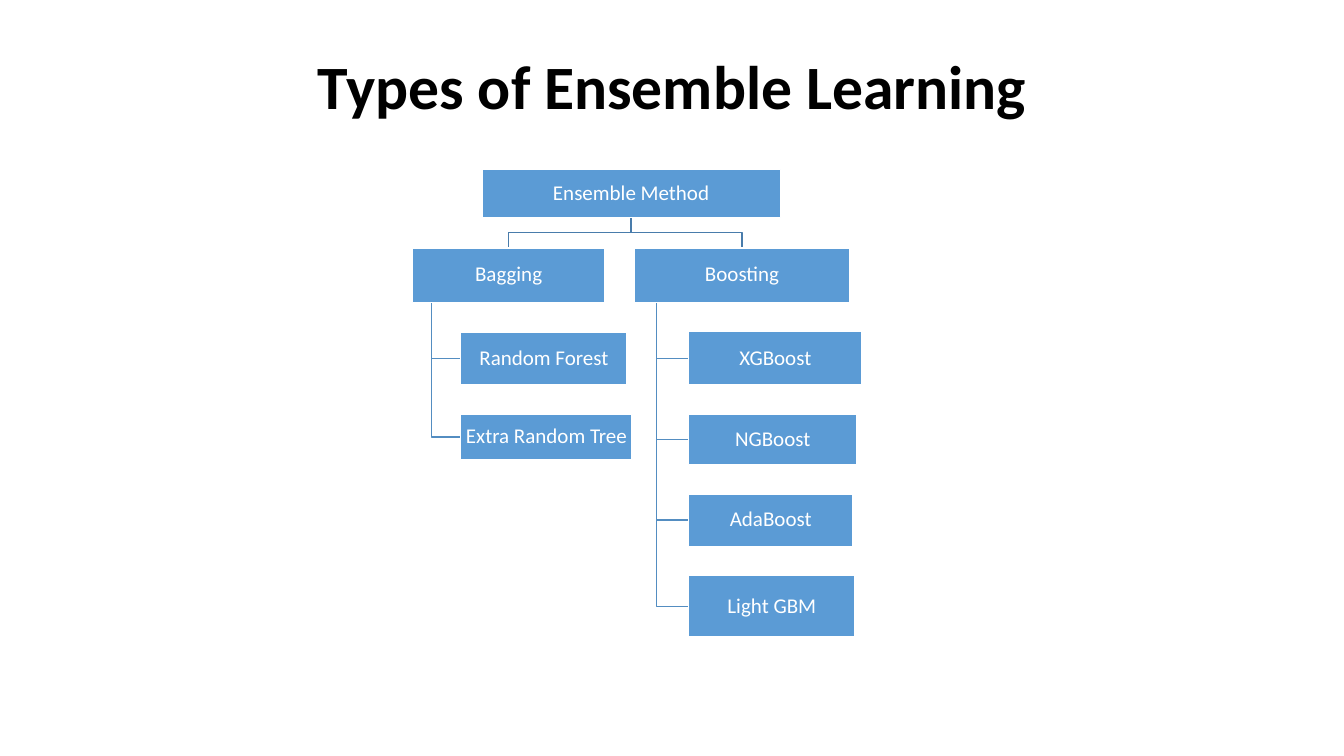
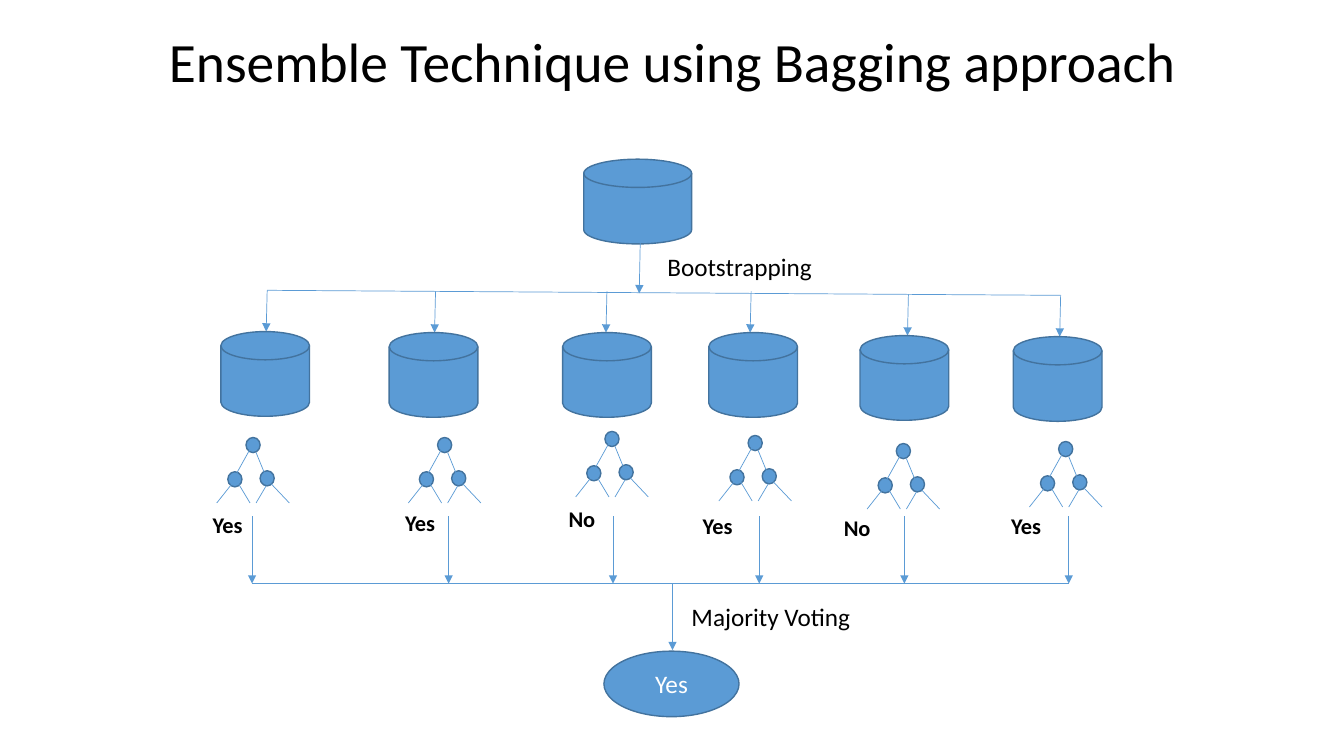
from dataclasses import dataclass

from pptx import Presentation
from pptx.dml.color import RGBColor
from pptx.enum.shapes import MSO_CONNECTOR as CONN, MSO_SHAPE as SHAPE
from pptx.enum.text import MSO_ANCHOR as ANCHOR, MSO_AUTO_SIZE as AUTO, PP_ALIGN as ALIGN
from pptx.oxml.ns import qn
from pptx.oxml.xmlchemy import OxmlElement
from pptx.shapes.autoshape import Shape
from pptx.shapes.shapetree import _BaseGroupShapes as Shapes
from pptx.slide import Slide
from pptx.util import Inches, Pt

BLUE = RGBColor(0x5B, 0x9B, 0xD5)
OUTLINE = RGBColor(0x43, 0x73, 0x9E)
ROOT_LINK = RGBColor(0x49, 0x7C, 0xAB)
LEAF_LINK = RGBColor(0x53, 0x8D, 0xC1)
WHITE = RGBColor(0xFF, 0xFF, 0xFF)
BLACK = RGBColor(0, 0, 0)
FONT = "Calibri"

Point = tuple[float, float]


@dataclass(frozen=True)
class Box:
    text: str
    x: float
    y: float
    w: float
    h: float

    @property
    def mid_x(self) -> float:
        return self.x + self.w / 2

    @property
    def mid_y(self) -> float:
        return self.y + self.h / 2

    @property
    def bottom(self) -> float:
        return self.y + self.h


@dataclass(frozen=True)
class Family:
    head: Box
    trunk_x: float
    members: tuple[Box, ...]


@dataclass(frozen=True)
class Learner:
    drop_x: float
    disk: Point
    tree: Point
    vote: str
    vote_at: Point
    vote_line_x: float


METHOD = Box("Ensemble Method", 4.78, 1.68, 2.96, 0.48)
FAMILIES = (
    Family(Box("Bagging", 4.09, 2.46, 1.91, 0.54), 4.28, (
        Box("Random Forest", 4.57, 3.3, 1.65, 0.52),
        Box("Extra Random Tree", 4.57, 4.11, 1.7, 0.45),
    )),
    Family(Box("Boosting", 6.29, 2.46, 2.14, 0.54), 6.51, (
        Box("XGBoost", 6.83, 3.29, 1.72, 0.53),
        Box("NGBoost", 6.83, 4.11, 1.67, 0.5),
        Box("AdaBoost", 6.83, 4.9, 1.63, 0.52),
        Box("Light GBM", 6.83, 5.71, 1.65, 0.61),
    )),
)

LEARNERS = (
    Learner(2.65, (2.19, 3.29), (2.44, 4.34), "Yes", (2.01, 5.02), 2.5),
    Learner(4.32, (3.86, 3.3), (4.34, 4.34), "Yes", (3.92, 5), 4.45),
    Learner(6.02, (5.58, 3.3), (6, 4.28), "No", (5.54, 4.96), 6.08),
    Learner(7.45, (7.03, 3.3), (7.42, 4.32), "Yes", (6.87, 5.03), 7.53),
    Learner(9.01, (8.53, 3.33), (8.89, 4.4), "No", (8.27, 5.05), 8.97),
    Learner(10.52, (10.05, 3.34), (10.5, 4.38), "Yes", (9.93, 5.03), 10.6),
)
DISK_H = 0.84
VOTE_TOP, VOTE_BAR = 5.12, 5.79
TREE_NODES = ((0, 0), (0.14, 0.33), (-0.18, 0.34))
TREE_BRANCHES = (
    ((0.06, 0.08), (-0.09, 0.35)),
    ((0.1, 0.15), (0.19, 0.37)),
    ((0.2, 0.48), (0.1, 0.65)),
    ((0.25, 0.46), (0.43, 0.65)),
    ((-0.14, 0.46), (-0.29, 0.65)),
    ((-0.08, 0.45), (0.04, 0.65)),
)


def add_text(sp: Shape, text: str, size: float, color: RGBColor = BLACK,
             bold: bool = False, align: ALIGN = ALIGN.LEFT,
             anchor: ANCHOR = ANCHOR.TOP, spacing: float = 1.0) -> None:
    tf = sp.text_frame
    tf.word_wrap = True
    tf.vertical_anchor = anchor
    p = tf.paragraphs[0]
    p.alignment = align
    p.line_spacing = spacing
    r = p.add_run()
    r.text = text
    r.font.name = FONT
    r.font.size = Pt(size)
    r.font.bold = bold
    r.font.color.rgb = color


def add_title(s: Slide, text: str, size: float, height: float, bold: bool = False) -> None:
    sp = s.shapes.add_textbox(Inches(0.92), Inches(0.4), Inches(11.5), Inches(height))
    add_text(sp, text, size, bold=bold, align=ALIGN.CENTER, anchor=ANCHOR.MIDDLE, spacing=0.9)


def add_label(s: Slide, text: str, at: Point, w: float, h: float,
              size: float, bold: bool = False) -> None:
    sp = s.shapes.add_textbox(Inches(at[0]), Inches(at[1]), Inches(w), Inches(h))
    add_text(sp, text, size, bold=bold)
    sp.text_frame.auto_size = AUTO.SHAPE_TO_FIT_TEXT


def add_solid(shapes: Shapes, kind: SHAPE, at: Point, w: float, h: float,
              outline: RGBColor = OUTLINE) -> Shape:
    sp = shapes.add_shape(kind, Inches(at[0]), Inches(at[1]), Inches(w), Inches(h))
    sp.shadow.inherit = False
    sp.fill.solid()
    sp.fill.fore_color.rgb = BLUE
    sp.line.color.rgb = outline
    sp.line.width = Pt(1)
    return sp


def add_line(shapes: Shapes, start: Point, end: Point, arrow: bool = False) -> None:
    c = shapes.add_connector(CONN.STRAIGHT, *(Inches(v) for v in (*start, *end)))
    c.line.color.rgb = BLUE
    c.line.width = Pt(0.5)
    sp_pr = c._element.spPr
    if arrow:
        tail = OxmlElement("a:tailEnd")
        tail.set("type", "triangle")
        sp_pr.find(qn("a:ln")).append(tail)
    sp_pr.append(OxmlElement("a:effectLst"))


def add_elbow(s: Slide, points: list[Point], color: RGBColor) -> None:
    first, *rest = [(Inches(x), Inches(y)) for x, y in points]
    builder = s.shapes.build_freeform(*first)
    builder.add_line_segments(rest, close=False)
    sp = builder.convert_to_shape()
    sp.shadow.inherit = False
    sp.fill.background()
    sp.line.color.rgb = color
    sp.line.width = Pt(1)


def add_box(s: Slide, box: Box) -> None:
    sp = add_solid(s.shapes, SHAPE.RECTANGLE, (box.x, box.y), box.w, box.h, WHITE)
    tf = sp.text_frame
    tf.margin_left = tf.margin_right = tf.margin_top = tf.margin_bottom = Inches(0.01)
    add_text(sp, box.text, 15, WHITE, align=ALIGN.CENTER, anchor=ANCHOR.MIDDLE, spacing=0.9)


def add_tree(s: Slide, root: Point) -> None:
    def shift(offset: Point) -> Point:
        return root[0] + offset[0], root[1] + offset[1]

    shapes = s.shapes.add_group_shape().shapes
    for node in TREE_NODES:
        add_solid(shapes, SHAPE.OVAL, shift(node), 0.14, 0.15)
    for start, end in TREE_BRANCHES:
        add_line(shapes, shift(start), shift(end))


def build_types(s: Slide) -> None:
    add_title(s, "Types of Ensemble Learning", 44, 0.97, bold=True)
    top, fork = METHOD.bottom, 2.31
    for family in FAMILIES:
        head, trunk = family.head, family.trunk_x
        add_elbow(s, [(METHOD.mid_x, top), (METHOD.mid_x, fork),
                      (head.mid_x, fork), (head.mid_x, head.y)], ROOT_LINK)
        for box in family.members:
            add_elbow(s, [(trunk, head.bottom), (trunk, box.mid_y), (box.x, box.mid_y)], LEAF_LINK)
    add_box(s, METHOD)
    for family in FAMILIES:
        for box in (family.head, *family.members):
            add_box(s, box)


def build_bagging(s: Slide) -> None:
    add_title(s, "Ensemble Technique using Bagging approach", 39.6, 0.48)
    shapes = s.shapes
    add_solid(shapes, SHAPE.FLOWCHART_MAGNETIC_DISK, (5.79, 1.58), 1.07, DISK_H)
    add_line(shapes, (6.35, 2.41), (6.34, 2.91), arrow=True)
    add_label(s, "Bootstrapping", (6.52, 2.44), 1.85, 0.4, 18)
    add_line(shapes, (LEARNERS[0].drop_x, 2.88), (LEARNERS[-1].drop_x, 2.93))
    for learner in LEARNERS:
        x, y = learner.drop_x, learner.disk[1]
        add_line(shapes, (x, y - 0.41), (x - 0.01, y), arrow=True)
        add_solid(shapes, SHAPE.FLOWCHART_MAGNETIC_DISK, learner.disk, 0.88, DISK_H)
        add_tree(s, learner.tree)
        vote_x = learner.vote_line_x
        add_line(shapes, (vote_x, VOTE_TOP), (vote_x, VOTE_BAR), arrow=True)
        add_label(s, learner.vote, learner.vote_at, 0.51, 0.37, 16, bold=True)
    add_line(shapes, (LEARNERS[0].vote_line_x, VOTE_BAR), (LEARNERS[-1].vote_line_x, VOTE_BAR))
    add_line(shapes, (6.67, VOTE_BAR), (6.67, 6.45), arrow=True)
    add_label(s, "Majority Voting", (6.76, 5.92), 1.85, 0.4, 18)
    result = add_solid(shapes, SHAPE.OVAL, (5.99, 6.46), 1.34, 0.65)
    add_text(result, "Yes", 18, WHITE, align=ALIGN.CENTER, anchor=ANCHOR.MIDDLE)


def main() -> None:
    prs = Presentation()
    prs.slide_width, prs.slide_height = Inches(13.33), Inches(7.5)
    for build in (build_types, build_bagging):
        build(prs.slides.add_slide(prs.slide_layouts[6]))
    prs.save("out.pptx")


if __name__ == "__main__":
    main()
